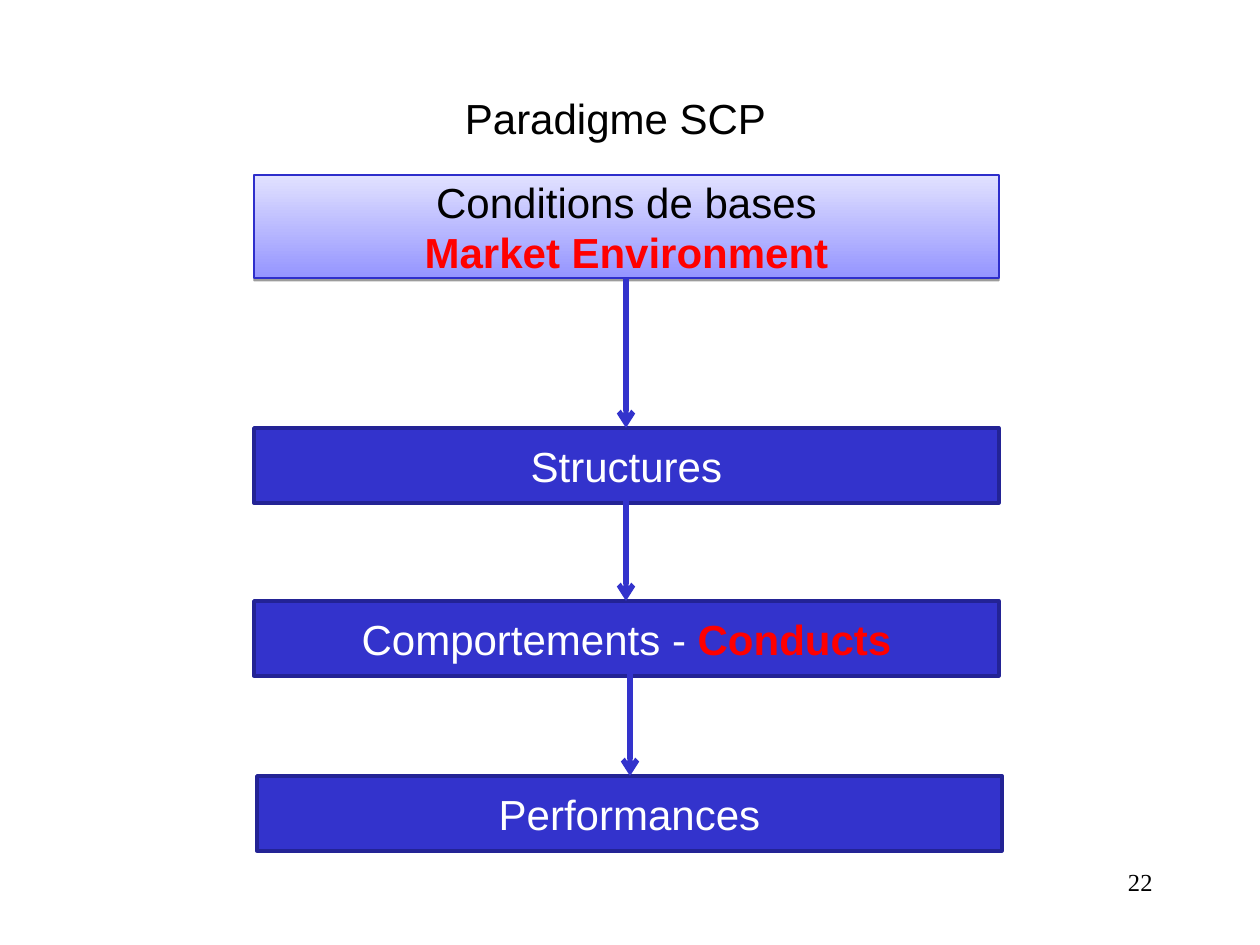
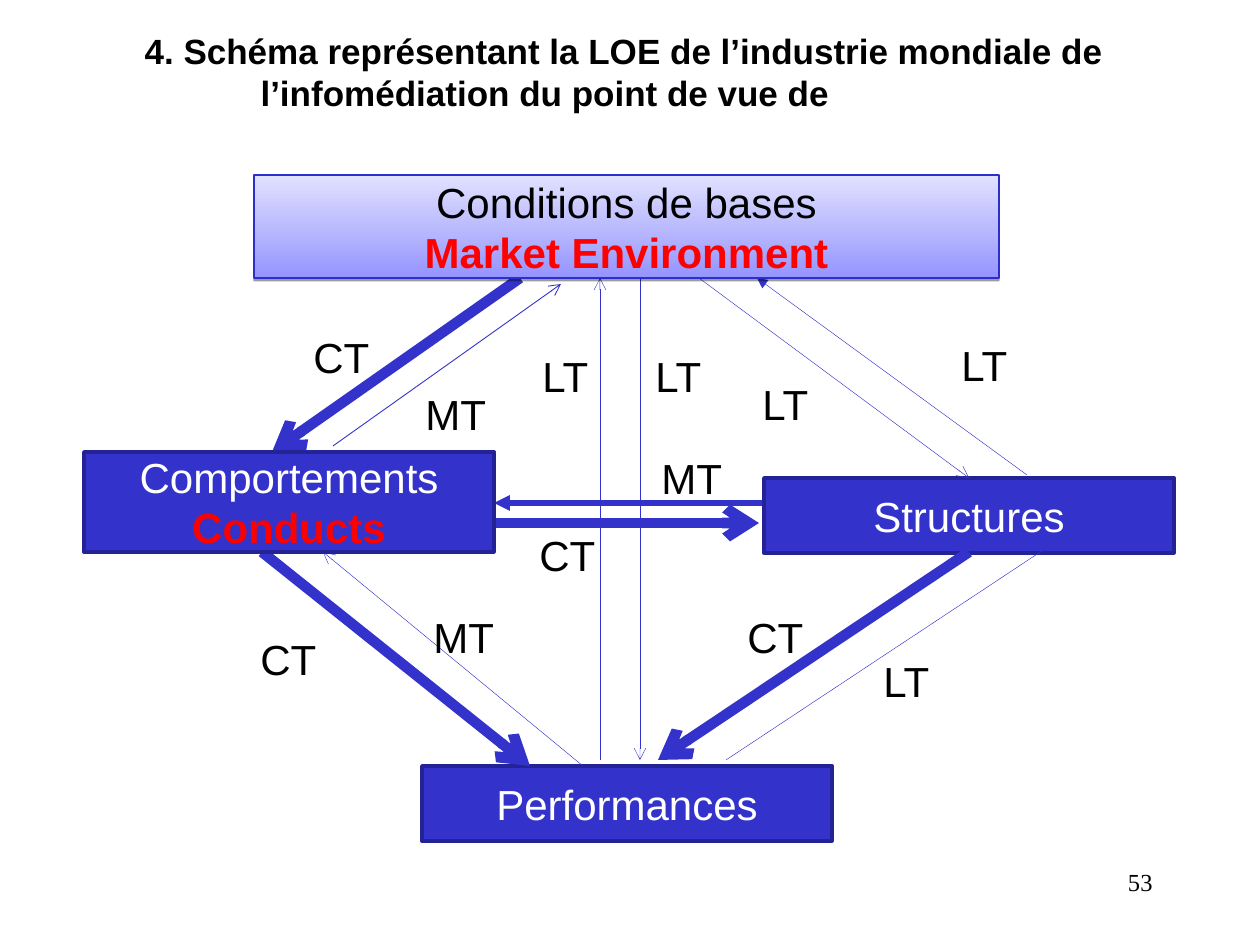
import pptx
import pptx.util
import pptx.dml.color
import pptx.enum.shapes
import pptx.enum.text
import pptx.oxml
import pptx.oxml.ns

RGB = pptx.dml.color.RGBColor
BLUE = RGB(0x33, 0x33, 0xCC)
DARK_BLUE = RGB(0x23, 0x23, 0x95)
EDGE_BLUE = RGB(0x2E, 0x2E, 0xCB)
MID_BLUE = RGB(0x95, 0x95, 0xFF)
PALE_BLUE = RGB(0xE1, 0xE1, 0xFF)
BLACK = RGB(0, 0, 0)
WHITE = RGB(0xFF, 0xFF, 0xFF)
RED = RGB(0xFF, 0, 0)

LEFT = pptx.enum.text.PP_ALIGN.LEFT
CENTER = pptx.enum.text.PP_ALIGN.CENTER
RIGHT = pptx.enum.text.PP_ALIGN.RIGHT
TOP = pptx.enum.text.MSO_ANCHOR.TOP
MIDDLE = pptx.enum.text.MSO_ANCHOR.MIDDLE
PX_PER_INCH = 126
HEADER_H = 103
BAR_H = 75


def px(*values):
    """Turn pixel lengths into a list of EMU lengths."""
    return [pptx.util.Emu(round(v * 914400 / PX_PER_INCH)) for v in values]


def within(box, x, y):
    """Shift a point by the corner of a box."""
    return box[0] + x, box[1] + y


def write(tf, paragraphs, size=24, align=LEFT, anchor=TOP, font="Arial"):
    """Fill a text frame from lists of (text, colour, bold) runs."""
    tf.word_wrap = True
    tf.auto_size = pptx.enum.text.MSO_AUTO_SIZE.NONE
    tf.vertical_anchor = anchor
    for i, runs in enumerate(paragraphs):
        p = tf.add_paragraph() if i else tf.paragraphs[0]
        p.alignment = align
        for text, color, bold in runs:
            r = p.add_run()
            r.text = text
            r.font.name = font
            r.font.size = pptx.util.Pt(size)
            r.font.bold = bold
            r.font.color.rgb = color


def add_title(slide, box, lines, **style):
    """Place and fill the title placeholder."""
    sp = slide.shapes.title
    sp.left, sp.top, sp.width, sp.height = px(*box)
    write(sp.text_frame, lines, **style)
    return sp


def add_text(slide, box, text, **style):
    """Add a plain black text box."""
    sp = slide.shapes.add_textbox(*px(*box))
    write(sp.text_frame, [[(text, BLACK, False)]], **style)


def add_page_number(slide, number):
    """Add the page number at the lower right."""
    add_text(slide, (903, 861, 262, 63), number, size=14, align=RIGHT, font="Times New Roman")


def add_bar(slide, box, paragraphs):
    """Add a blue bar with centred text."""
    sp = slide.shapes.add_shape(pptx.enum.shapes.MSO_SHAPE.RECTANGLE, *px(*box))
    sp.shadow.inherit = False
    sp.fill.solid()
    sp.fill.fore_color.rgb = BLUE
    sp.line.color.rgb = DARK_BLUE
    sp.line.width = pptx.util.Pt(2)
    write(sp.text_frame, paragraphs, align=CENTER, anchor=MIDDLE)
    return sp


def add_conditions(slide, x, y):
    """Add the shaded bar of basic conditions."""
    sp = add_bar(slide, (x, y, 745, HEADER_H),
                 [[("Conditions de bases", BLACK, False)], [("Market Environment", RED, True)]])
    sp.fill.gradient()
    sp.fill.gradient_angle = 90
    for stop, color in zip(sp.fill.gradient_stops, (MID_BLUE, PALE_BLUE)):
        stop.color.rgb = color
    sp.line.color.rgb = EDGE_BLUE
    sp.line.width = pptx.util.Pt(0.75)
    effects = sp._element.spPr.find(pptx.oxml.ns.qn("a:effectLst"))
    effects.append(pptx.oxml.parse_xml(
        f'<a:outerShdw {pptx.oxml.ns.nsdecls("a")} blurRad="0" dist="20320" dir="5400000" '
        'rotWithShape="0"><a:srgbClr val="000000"><a:alpha val="38000"/></a:srgbClr></a:outerShdw>'))


def add_arrow(slide, start, end, width, head="arrow"):
    """Add a straight blue arrow."""
    line = slide.shapes.add_connector(
        pptx.enum.shapes.MSO_CONNECTOR.STRAIGHT, *px(*start, *end))
    line.line.color.rgb = BLUE
    line.line.width = pptx.util.Pt(width)
    ns = pptx.oxml.ns.nsdecls("a")
    line.line._get_or_add_ln().append(pptx.oxml.parse_xml(f'<a:tailEnd {ns} type="{head}"/>'))
    line._element.spPr.append(pptx.oxml.parse_xml(f"<a:effectLst {ns}/>"))


def add_chain(slide, box):
    """Draw the downward chain from conditions to performances."""
    add_conditions(slide, *within(box, 0, 0))
    bars = [
        (0, 253, [("Structures", WHITE, False)]),
        (0, 426, [("Comportements - ", WHITE, False), ("Conducts", RED, True)]),
        (3, 601, [("Performances", WHITE, False)]),
    ]
    for x, y, runs in bars:
        add_bar(slide, (*within(box, x, y), box[2], BAR_H), [runs])
    for x, top, bottom in [(372, HEADER_H, 253), (372, 313, 426), (376, 488, 601)]:
        add_arrow(slide, within(box, x, top), within(box, x, bottom), 3)


def add_network(slide, box):
    """Draw the four linked blocks with their time-span labels."""
    bar_w = 410
    for x, y, text in [(338, 591, "Performances"), (680, 303, "Structures")]:
        add_bar(slide, (*within(box, x, y), bar_w, BAR_H), [[(text, WHITE, False)]])
    arrows = [
        ((436, 103), (188, 277), 6, "arrow"),
        ((178, 377), (446, 591), 6, "arrow"),
        ((249, 271), (477, 109), 0.5, "arrow"),
        ((499, 591), (239, 377), 0.25, "arrow"),
        ((516, 585), (516, 103), 0.25, "arrow"),
        ((556, 103), (556, 585), 0.25, "arrow"),
        ((615, 103), (885, 303), 0.25, "arrow"),
        ((885, 377), (574, 585), 6, "arrow"),
        ((678, 328), (410, 328), 3, "triangle"),
        ((943, 300), (673, 103), 0.25, "triangle"),
        ((642, 585), (973, 366), 0.25, "triangle"),
        ((410, 348), (675, 348), 6, "arrow"),
    ]
    for start, end, width, head in arrows:
        add_arrow(slide, within(box, *start), within(box, *end), width, head)
    labels = {
        "CT": [(217, 150), (164, 452), (651, 430), (443, 348)],
        "MT": [(337, 430), (329, 207), (565, 271)],
        "LT": [(446, 169), (865, 158), (666, 197), (787, 474), (559, 169)],
    }
    for text, points in labels.items():
        for point in points:
            add_text(slide, (*within(box, *point), 99, 63), text)
    add_conditions(slide, *within(box, 170, 0))
    add_bar(slide, (*within(box, 0, 277), bar_w, 100),
            [[("Comportements ", WHITE, False), ("Conducts", RED, True)]])


def build_chain_slide(slide):
    """Build the slide on the SCP paradigm."""
    add_title(slide, (254, 86, 723, 63), [[("Paradigme SCP", BLACK, False)]], align=CENTER)
    add_chain(slide, (254, 175, 745, 675))
    add_page_number(slide, "22")


def build_network_slide(slide):
    """Build the slide on the world infomediation industry."""
    lines = ["4. Schéma représentant la LOE de l’industrie mondiale de",
             "l’infomédiation du point de vue de"]
    sp = add_title(slide, (122, 23, 1003, 136), [[(t, BLACK, True)] for t in lines], size=20)
    for p, indent in zip(sp.text_frame.paragraphs, px(10, 126)):
        pPr = p._p.get_or_add_pPr()
        pPr.set("marL", str(indent))
        pPr.set("indent", "0")
    add_network(slide, (84, 175, 1091, 666))
    add_page_number(slide, "53")


def main():
    """Build and save the presentation."""
    prs = pptx.Presentation()
    prs.slide_width, prs.slide_height = px(1260, 945)
    for build in (build_chain_slide, build_network_slide):
        build(prs.slides.add_slide(prs.slide_layouts[5]))
    prs.save("out.pptx")


if __name__ == "__main__":
    main()
